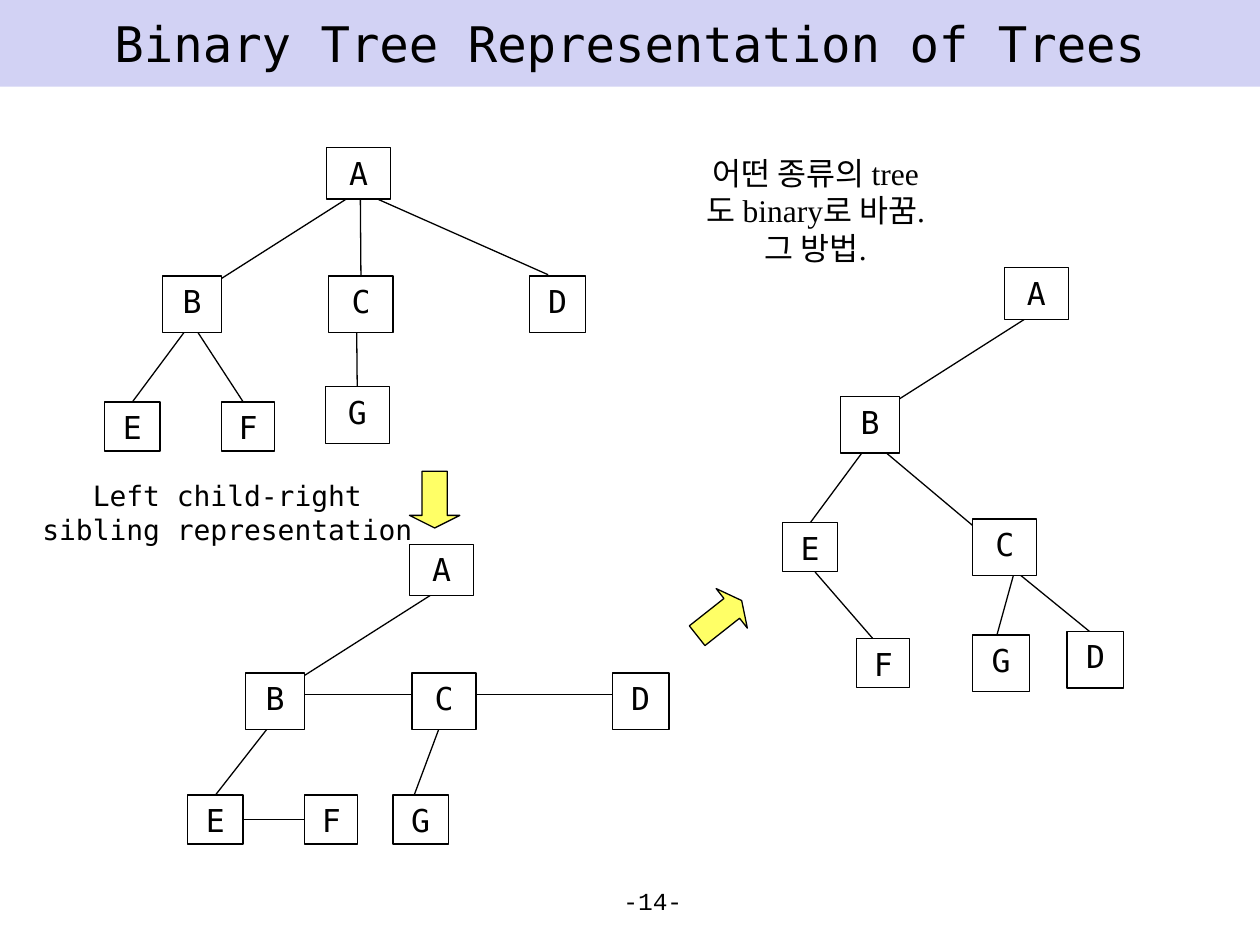
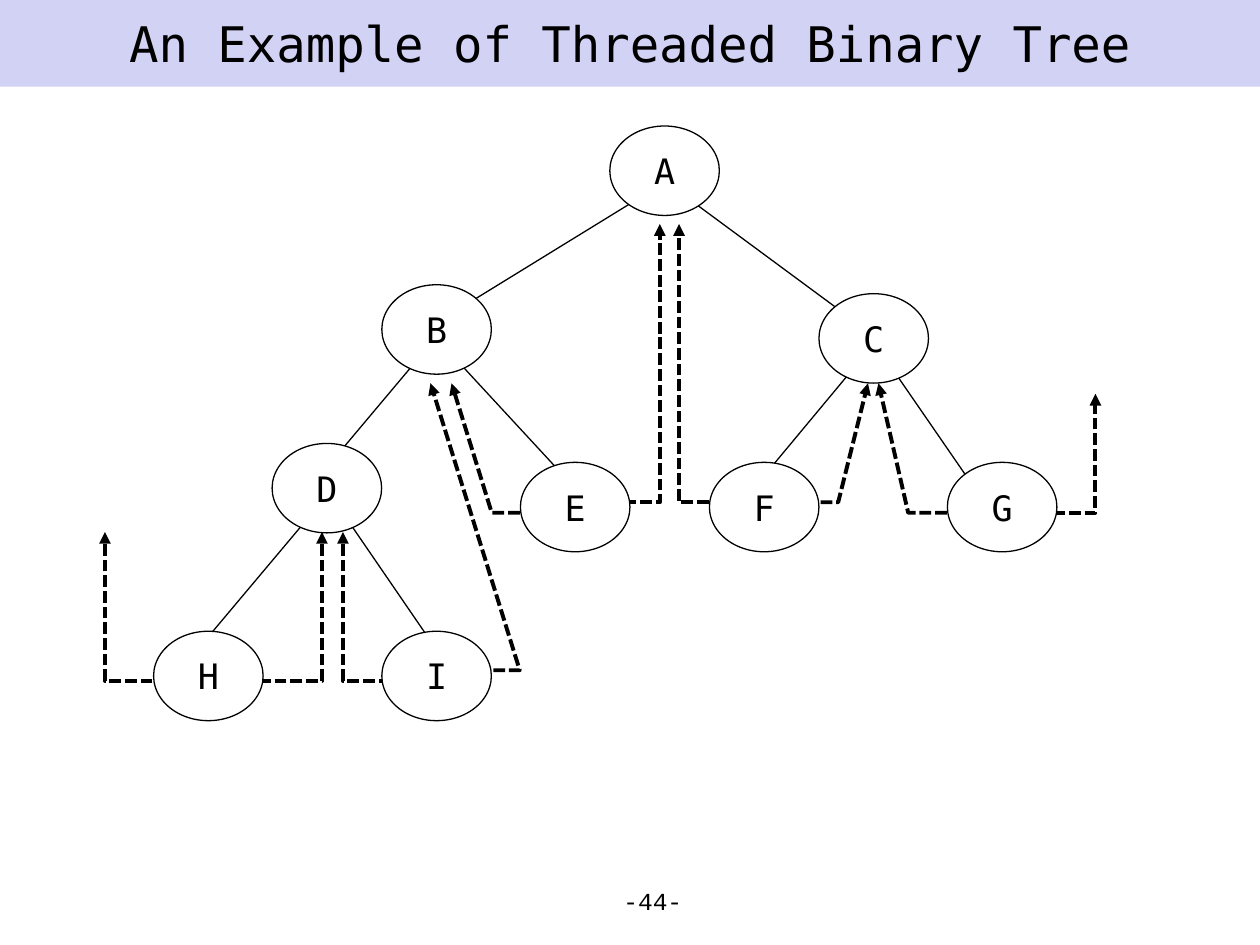
from dataclasses import dataclass

from lxml import etree
from pptx import Presentation
from pptx.dml.color import RGBColor
from pptx.enum.dml import MSO_LINE
from pptx.enum.shapes import MSO_CONNECTOR, MSO_SHAPE
from pptx.enum.text import MSO_ANCHOR, MSO_AUTO_SIZE, PP_ALIGN
from pptx.oxml.ns import qn
from pptx.util import Pt

COLORS = {"ink": "000000", "paper": "FFFFFF", "band": "D2D2F4", "arrow": "FFFF66"}
MONO, SERIF, COURIER = "DejaVu Sans Mono", "Times New Roman", "Courier New"
RECT, OVAL, DOWN = MSO_SHAPE.RECTANGLE, MSO_SHAPE.OVAL, MSO_SHAPE.DOWN_ARROW
STRAIGHT, DASH = MSO_CONNECTOR.STRAIGHT, MSO_LINE.SQUARE_DOT
TOP_SIDE, LEFT_SIDE, RIGHT_SIDE = 0, 1, 3
TOP, MIDDLE = MSO_ANCHOR.TOP, MSO_ANCHOR.MIDDLE
CENTER, RIGHT = PP_ALIGN.CENTER, PP_ALIGN.RIGHT
FIXED = MSO_AUTO_SIZE.NONE


@dataclass
class Node:
    name: str
    x: float
    y: float
    w: float
    h: float


@dataclass
class Edge:
    x1: float
    y1: float
    x2: float
    y2: float
    begin: tuple | None = None  # (node name, side)
    end: tuple | None = None


@dataclass
class Thread:
    """Dashed arrow: level from x to bend, then up to the tip."""
    x: float
    y: float
    bend: float
    tip_x: float
    tip_y: float


@dataclass
class Tree:
    nodes: list
    edges: list


SIZES = {"A": (36.7, 29.5), "B": (33.8, 32.4), "C": (36.7, 32.4), "D": (32.4, 32.4),
         "E": (31.7, 28), "F": (30.2, 28)}


def box_tree(dx: float, dy: float, spots: dict, g_size: tuple, edges: list) -> Tree:
    """A, B and their edges keep one layout, moved by dx, dy; the rest is given."""
    spots = {"A": (186.5 + dx, 84.2 + dy), "B": (92.9 + dx, 157.7 + dy), **spots}
    sizes = {**SIZES, "G": g_size}
    core = [Edge(200.2 + dx, 112.3 + dy, 121 + dx, 162.7 + dy),
            Edge(109.4 + dx, 184.3 + dy, 74.9 + dx, 229.7 + dy, end=("E", TOP_SIDE))]
    return Tree([Node(n, *at, *sizes[n]) for n, at in spots.items()], core + edges)


BOX_TREES = [
    box_tree(0, 0,
             {"C": (187.9, 157.7), "D": (302.4, 157.7), "E": (59.8, 229.7),
              "F": (126.7, 229.7), "G": (185.8, 221)}, (36.7, 32.4),
             [Edge(203.8, 185, 203.8, 221, end=("G", TOP_SIDE)),
              Edge(205.9, 109.4, 205.9, 157, end=("C", TOP_SIDE)),
              Edge(205.9, 109.4, 313.2, 157),
              Edge(109.4, 184.3, 139, 229.7)]),
    box_tree(47.5, 226.8,
             {"C": (235.4, 384.5), "D": (349.9, 384.5), "E": (107.3, 454.3),
              "F": (174.2, 454.3), "G": (224.6, 454.3)}, (31.7, 28),
             [Edge(252, 413.3, 234, 461.5),
              Edge(139, 468.3, 174.2, 468.3, ("E", RIGHT_SIDE), ("F", LEFT_SIDE)),
              Edge(157.7, 396.7, 254.2, 396.7),
              Edge(247.7, 396.7, 362.2, 396.7)]),
    box_tree(387.4, 68.8,
             {"C": (555.8, 296.6), "D": (609.8, 360.7), "E": (447.1, 298.8),
              "F": (489.6, 365), "G": (555.8, 362.9)}, (32.4, 32.4),
             [Edge(579.6, 326.9, 568.1, 368.6),
              Edge(465.8, 326.9, 507.6, 375.1),
              Edge(501.8, 254.9, 573.8, 315.4),
              Edge(573.8, 321.1, 640.1, 375.1)]),
]

OVAL_SPOTS = {"A": (348.5, 72), "B": (218.2, 162.7), "C": (468, 167.8),
              "D": (155.5, 253.4), "E": (297.4, 264.2), "F": (405.4, 264.2),
              "G": (541.4, 264.2), "H": (87.8, 360.7), "I": (218.2, 360.7)}
OVAL_TREE = Tree(
    [Node(n, *at, 62.6, 51.1) for n, at in OVAL_SPOTS.items()],
    [Edge(377.3, 105.8, 257.8, 179.3), Edge(383, 105.8, 490.3, 185),
     Edge(241.2, 202.3, 184.3, 270), Edge(257.8, 202.3, 320.4, 270),
     Edge(490.3, 207.4, 433.4, 275.8), Edge(507.6, 207.4, 558.7, 281.5),
     Edge(178.6, 293, 121.7, 360.7), Edge(195.8, 293, 246.2, 366.5)])
THREADS = [
    Thread(450.7, 287, 478.8, 496.1, 219), Thread(558.7, 293, 519.1, 501.8, 219),
    Thread(592.6, 293, 626.4, 626.4, 224.6), Thread(422.6, 287, 388.4, 388.4, 128.2),
    Thread(348.5, 287, 377, 377, 128.2), Thread(314.6, 293, 280.8, 257.8, 219),
    Thread(263.5, 383, 297.4, 246.2, 219), Thread(241.2, 388.8, 195.6, 195.6, 304),
    Thread(139, 388.8, 184.3, 184.3, 304), Thread(105.1, 388.8, 59.6, 59.6, 304),
]


def color(key: str) -> RGBColor:
    return RGBColor.from_string(COLORS[key])


def place(x: float, y: float, w: float, h: float) -> tuple:
    return Pt(x), Pt(y), Pt(w), Pt(h)


def write(shape, text: str, size: float, font: str = MONO, align=CENTER, anchor=TOP) -> None:
    frame = shape.text_frame
    frame.text = text
    frame.word_wrap = True
    frame.auto_size = FIXED
    frame.vertical_anchor = anchor
    for para in frame.paragraphs:
        para.alignment = align
        for run in para.runs:
            run.font.size = Pt(size)
            run.font.name = font
            run.font.color.rgb = color("ink")


def ink(line, width: float = 0.75) -> None:
    line.color.rgb = color("ink")
    line.width = Pt(width)


def add_form(slide, kind, box: tuple, fill: str):
    form = slide.shapes.add_shape(kind, *place(*box))
    form.shadow.inherit = False
    form.fill.solid()
    form.fill.fore_color.rgb = color(fill)
    ink(form.line)
    return form


def add_note(slide, box: tuple, text: str, size: float, font: str, align=CENTER) -> None:
    write(slide.shapes.add_textbox(*place(*box)), text, size, font, align)


def add_edge(slide, edge: Edge):
    line = slide.shapes.add_connector(
        STRAIGHT, Pt(edge.x1), Pt(edge.y1), Pt(edge.x2), Pt(edge.y2))
    ink(line.line)
    etree.SubElement(line._element.spPr, qn("a:effectLst"))
    return line


def draw_tree(slide, tree: Tree, kind, size: float, anchor) -> None:
    """Edges go below the nodes, and are joined once the nodes exist."""
    lines = [add_edge(slide, edge) for edge in tree.edges]
    forms = {}
    for n in tree.nodes:
        form = forms[n.name] = add_form(slide, kind, (n.x, n.y, n.w, n.h), "paper")
        write(form, n.name, size, anchor=anchor)
    for line, edge in zip(lines, tree.edges):
        if edge.begin:
            line.begin_connect(forms[edge.begin[0]], edge.begin[1])
        if edge.end:
            line.end_connect(forms[edge.end[0]], edge.end[1])


def draw_thread(slide, thread: Thread) -> None:
    pen = slide.shapes.build_freeform(thread.x, thread.y, scale=Pt(1))
    pen.add_line_segments(
        [(thread.bend, thread.y), (thread.tip_x, thread.tip_y)], close=False)
    form = pen.convert_to_shape()
    form.shadow.inherit = False
    form.fill.background()
    ink(form.line, 2.25)
    form.line.dash_style = DASH
    etree.SubElement(form.line._get_or_add_ln(), qn("a:tailEnd"), type="triangle")


def add_arrow(slide, x: float, y: float, turn: float = 0) -> None:
    form = add_form(slide, DOWN, (x, y, 28.8, 32.4), "arrow")
    form.adjustments[1] = 0.25
    form.rotation = turn


def add_page(deck, title: str, number: int):
    slide = deck.slides.add_slide(deck.slide_layouts[5])
    head = slide.shapes.title
    head.left, head.top, head.width, head.height = place(0, 0, 720, 49.5)
    head.fill.solid()
    head.fill.fore_color.rgb = color("band")
    write(head, title, 28, anchor=MIDDLE)
    add_note(slide, (247, 502.5, 150, 22.3), f"-{number}-", 14, COURIER, RIGHT)
    return slide


def main() -> None:
    deck = Presentation()
    deck.slide_width, deck.slide_height = Pt(720), Pt(540)

    slide = add_page(deck, "Binary Tree Representation of Trees", 14)
    for tree in BOX_TREES:
        draw_tree(slide, tree, RECT, 18, TOP)
    add_arrow(slide, 234, 269.3)
    add_arrow(slide, 396.7, 337, 231.7)
    add_note(slide, (16.4, 270, 227, 46),
             "Left child-right sibling representation", 16, MONO)
    add_note(slide, (396.7, 84.2, 139, 94.3),
             "어떤 종류의 tree도 binary로 바꿈.\n그 방법.", 18, SERIF)

    slide = add_page(deck, "An Example of Threaded Binary Tree", 44)
    for thread in THREADS:
        draw_thread(slide, thread)
    draw_tree(slide, OVAL_TREE, OVAL, 20, MIDDLE)

    deck.save("out.pptx")


if __name__ == "__main__":
    main()
